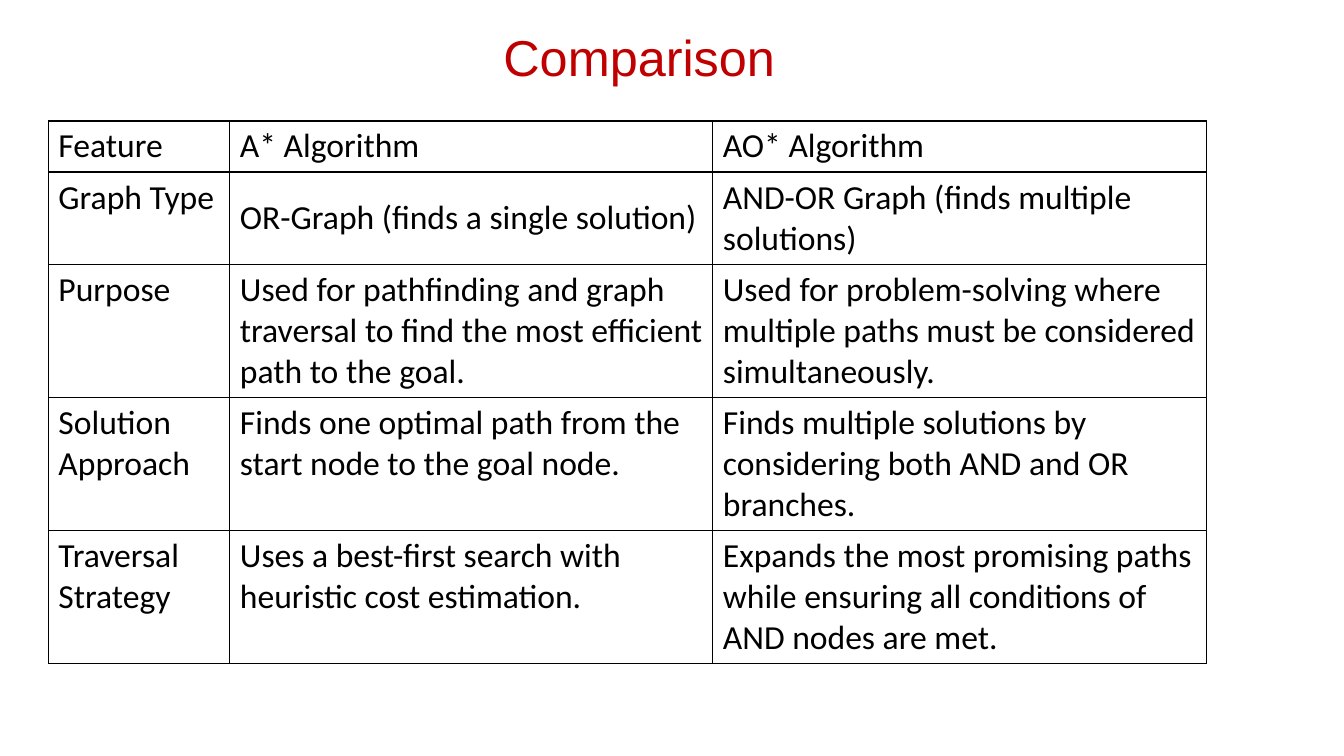
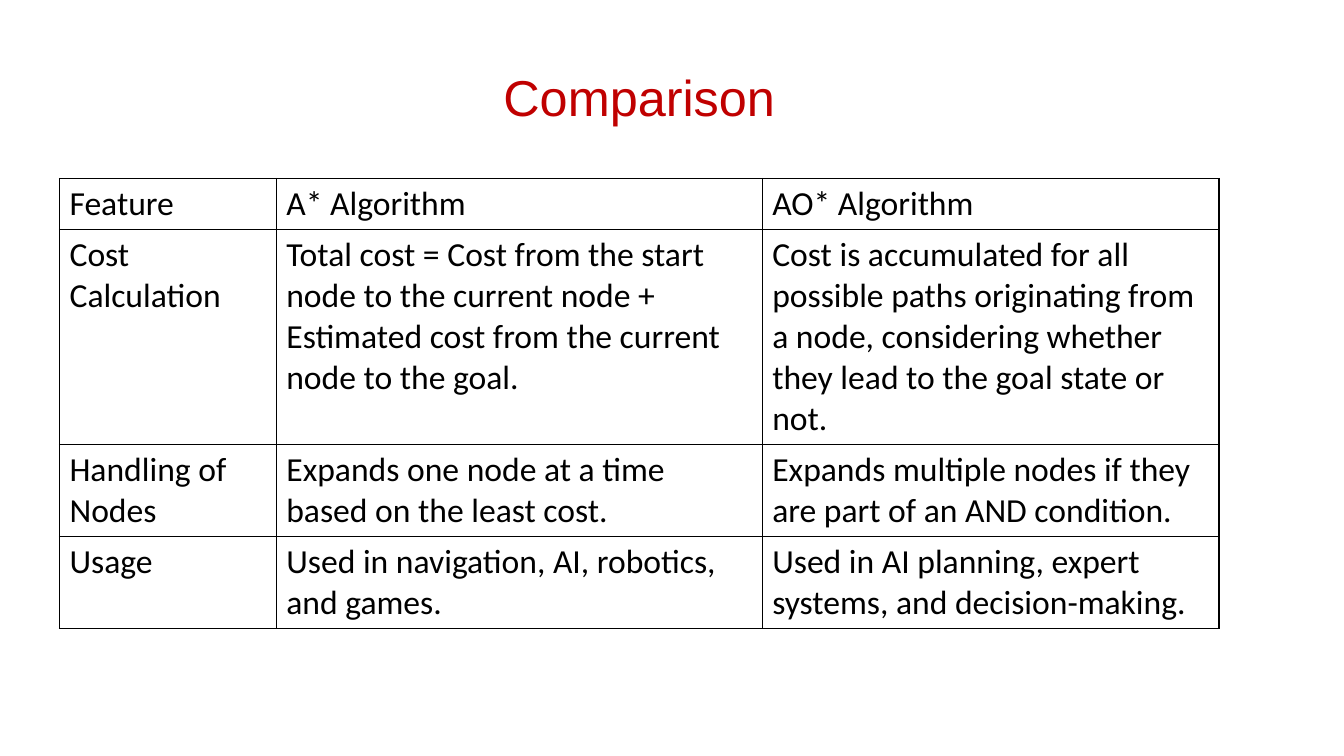
"""Build two slides that compare the A* and AO* algorithms."""
from dataclasses import dataclass

from lxml import etree
from pptx import Presentation
from pptx.dml.color import RGBColor
from pptx.enum.text import MSO_ANCHOR, PP_ALIGN
from pptx.oxml.ns import qn
from pptx.util import Inches, Pt

CENTER = PP_ALIGN.CENTER
TOP = MSO_ANCHOR.TOP
MIDDLE = MSO_ANCHOR.MIDDLE
TITLE_ONLY_LAYOUT = 5
BORDER_TAGS = ("a:lnL", "a:lnR", "a:lnT", "a:lnB")


@dataclass(frozen=True)
class Theme:
    """Colours, fonts and sizes shared by the slides."""

    title_color: str = "C00000"
    text_color: str = "000000"
    border_color: str = "000000"
    title_font: str = "Arial"
    table_font: str = "Calibri"
    title_size: int = 36
    table_size: int = 24
    border_width: int = 1
    title_left: float = 0.59
    title_width: float = 11.5
    title_height: float = 1.19
    row_height: float = 0.41


THEME = Theme()
TITLE = "Comparison"
HEADER = ("Feature", "A* Algorithm", "AO* Algorithm")

GRAPH_ROWS = (
    ("Graph Type",
     "OR-Graph (finds a single solution)",
     "AND-OR Graph (finds multiple solutions)"),
    ("Purpose",
     "Used for pathfinding and graph traversal to find the most efficient path to the goal.",
     "Used for problem-solving where multiple paths must be considered simultaneously."),
    ("Solution Approach",
     "Finds one optimal path from the start node to the goal node.",
     "Finds multiple solutions by considering both AND and OR branches."),
    ("Traversal Strategy",
     "Uses a best-first search with heuristic cost estimation.",
     "Expands the most promising paths while ensuring all conditions of AND nodes are met."),
)

COST_ROWS = (
    ("Cost Calculation",
     "Total cost = Cost from the start node to the current node + "
     "Estimated cost from the current node to the goal.",
     "Cost is accumulated for all possible paths originating from a node, "
     "considering whether they lead to the goal state or not."),
    ("Handling of Nodes",
     "Expands one node at a time based on the least cost.",
     "Expands multiple nodes if they are part of an AND condition."),
    ("Usage",
     "Used in navigation, AI, robotics, and games.",
     "Used in AI planning, expert systems, and decision-making."),
)


def format_runs(paragraph, font_name, size, color):
    """Set font, size and colour on every run of a paragraph."""
    for run in paragraph.runs:
        run.font.name = font_name
        run.font.size = Pt(size)
        run.font.bold = False
        run.font.color.rgb = RGBColor.from_string(color)


def add_title(slide, top):
    """Place and format the title placeholder."""
    title = slide.shapes.title
    title.left, title.top = Inches(THEME.title_left), Inches(top)
    title.width, title.height = Inches(THEME.title_width), Inches(THEME.title_height)
    title.text_frame.text = TITLE
    title.text_frame.vertical_anchor = MIDDLE
    paragraph = title.text_frame.paragraphs[0]
    paragraph.alignment = CENTER
    paragraph.line_spacing = 0.9
    format_runs(paragraph, THEME.title_font, THEME.title_size, THEME.title_color)


def add_borders(cell):
    """Draw a solid line on all four sides of a cell."""
    properties = cell._tc.get_or_add_tcPr()
    for tag in BORDER_TAGS:
        line = etree.SubElement(properties, qn(tag), w=str(Pt(THEME.border_width)))
        fill = etree.SubElement(line, qn("a:solidFill"))
        etree.SubElement(fill, qn("a:srgbClr"), val=THEME.border_color)


def fill_cell(cell, text, anchor):
    """Write and format one table cell."""
    cell.text_frame.text = text
    cell.vertical_anchor = anchor
    format_runs(cell.text_frame.paragraphs[0], THEME.table_font,
                THEME.table_size, THEME.text_color)
    add_borders(cell)
    cell.fill.background()


def add_comparison_table(slide, left, top, column_widths, rows, middle_cells=()):
    """Add a bordered table whose rows grow to fit their text."""
    records = (HEADER, *rows)
    frame = slide.shapes.add_table(
        len(records), len(HEADER), Inches(left), Inches(top),
        Inches(sum(column_widths)), Inches(THEME.row_height * len(records)))
    table = frame.table
    table.first_row = False
    table.horz_banding = False
    for column, width in zip(table.columns, column_widths):
        column.width = Inches(width)
    for row_index, record in enumerate(records):
        table.rows[row_index].height = Inches(THEME.row_height)
        for column_index, text in enumerate(record):
            centred = row_index == 0 or (row_index, column_index) in middle_cells
            fill_cell(table.cell(row_index, column_index), text, MIDDLE if centred else TOP)


def add_comparison_slide(presentation, title_top, **table_options):
    """Add a slide with a title and a comparison table."""
    layout = presentation.slide_layouts[TITLE_ONLY_LAYOUT]
    slide = presentation.slides.add_slide(layout)
    add_title(slide, title_top)
    add_comparison_table(slide, **table_options)


def main():
    """Build and save the presentation."""
    presentation = Presentation()
    presentation.slide_width, presentation.slide_height = Inches(13.33), Inches(7.5)
    add_comparison_slide(presentation, title_top=0, left=0.48, top=1.2,
                         column_widths=(1.8, 4.79, 4.9), rows=GRAPH_ROWS,
                         middle_cells={(1, 1)})
    add_comparison_slide(presentation, title_top=0.4, left=0.59, top=1.77,
                         column_widths=(2.15, 4.82, 4.53), rows=COST_ROWS)
    presentation.save("out.pptx")


if __name__ == "__main__":
    main()
